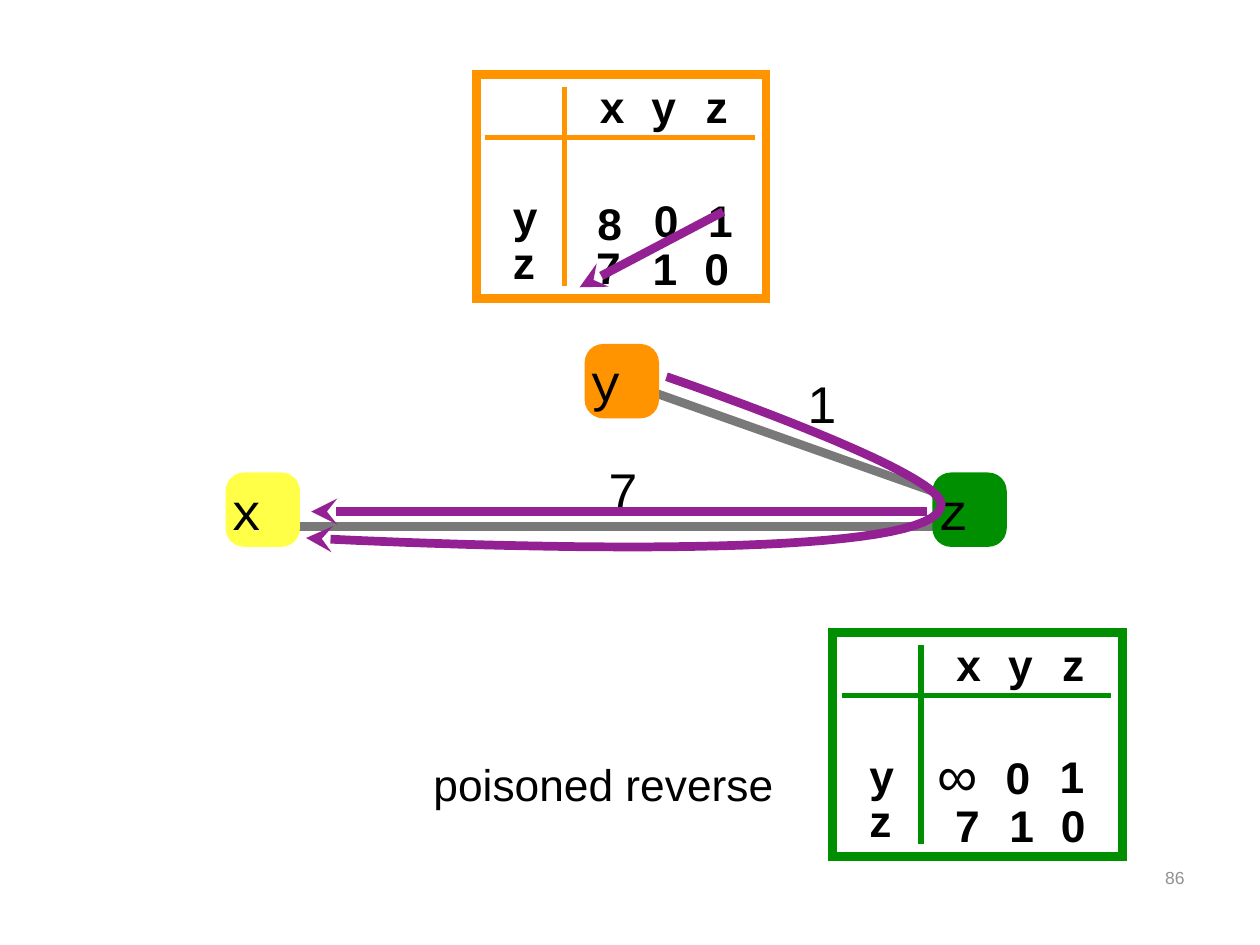
from dataclasses import dataclass

import pptx
import pptx.dml.color
import pptx.enum.shapes
import pptx.enum.text
import pptx.oxml
import pptx.oxml.ns
import pptx.util

Inches = pptx.util.Inches
Color = pptx.dml.color.RGBColor
Shape = pptx.enum.shapes.MSO_SHAPE
Align = pptx.enum.text.PP_ALIGN
Anchor = pptx.enum.text.MSO_ANCHOR

BLACK = Color(0x00, 0x00, 0x00)
GREY = Color(0x79, 0x79, 0x79)
PALE = Color(0x91, 0x91, 0x91)
YELLOW = Color(0xFF, 0xFF, 0x47)
GREEN = Color(0x00, 0x8F, 0x00)
ORANGE = Color(0xFF, 0x93, 0x00)
PURPLE = Color(0x94, 0x21, 0x93)

Point = tuple[float, float]


@dataclass
class Node:
    """A router in the network."""
    name: str
    left: float
    top: float
    fill: Color


@dataclass
class Cell:
    """A cost, placed relative to its table frame."""
    text: str
    left: float
    top: float
    width: float = 0.19
    height: float = 0.51
    size: float = 25.3
    bold: bool = True


@dataclass
class Table:
    """The distance table of one router."""
    left: float
    top: float
    color: Color
    cells: list[Cell]


NODES = [
    Node("x", 1.79, 3.75, YELLOW),
    Node("z", 7.4, 3.75, GREEN),
    Node("y", 4.64, 2.73, ORANGE),
]
HEADS = [
    Cell("x", 0.94, 0.02, 0.29, 0.46),
    Cell("y", 1.35, 0.02, 0.29, 0.46),
    Cell("z", 1.78, 0.02, 0.29, 0.46),
    Cell("y", 0.25, 0.87, 0.26),
    Cell("z", 0.25, 1.23, 0.26),
]
TABLES = [
    Table(3.78, 0.59, ORANGE, [
        Cell("8", 0.92, 0.92), Cell("0", 1.37, 0.9), Cell("1", 1.8, 0.9, 0.15),
        Cell("7", 0.91, 1.27), Cell("1", 1.36, 1.28), Cell("0", 1.77, 1.28, 0.23),
    ]),
    Table(6.61, 5.02, GREEN, [
        Cell("∞", 0.79, 0.86, 0.48, 0.53, 32.3, False),
        Cell("0", 1.33, 0.89), Cell("1", 1.76, 0.88, 0.15),
        Cell("7", 0.93, 1.27), Cell("1", 1.36, 1.27), Cell("0", 1.77, 1.27, 0.21),
    ]),
]
LABELS = [
    Cell("7", 4.79, 3.6, 0.29, 0.58, 29.5, False),
    Cell("1", 6.37, 2.91, 0.29, 0.58, 29.5, False),
    Cell("poisoned reverse", 3.4, 5.97, 2.92, 0.5, 25.3, False),
]
ROUTE = [
    ((5.29, 2.99), (5.29, 2.99), (7.46, 3.73), (7.47, 4.0)),
    ((7.47, 4.0), (7.5, 4.55), (2.43, 4.27), (2.43, 4.27)),
]
STEPS = 40

deck = pptx.Presentation()
deck.slide_width, deck.slide_height = Inches(10), Inches(7.5)
slide = deck.slides.add_slide(deck.slide_layouts[6])
shapes = slide.shapes


def make_tag(tag: str):
    """Build an element of the drawing namespace."""
    return pptx.oxml.parse_xml(f'<a:{tag} {pptx.oxml.ns.nsdecls("a")}/>')


def set_text(shape, text: str, size: float, font: str = "Arial",
             color: Color = BLACK, bold: bool = False, align=Align.LEFT) -> None:
    """Write one styled line of text."""
    frame = shape.text_frame
    frame.word_wrap = True
    frame.text = text
    para = frame.paragraphs[0]
    para.alignment = align
    style = para.runs[0].font
    style.name, style.size, style.bold = font, pptx.util.Pt(size), bold
    style.color.rgb = color


def set_pad(shape, pad: float) -> None:
    """Centre the text upright, with equal margins."""
    frame = shape.text_frame
    frame.vertical_anchor = Anchor.MIDDLE
    frame.margin_left = frame.margin_right = Inches(pad)
    frame.margin_top = frame.margin_bottom = Inches(pad)


def set_line(shape, color: Color, width: float, tip: str = "") -> None:
    """Style a sharp stroke; tip is headEnd, tailEnd or empty."""
    shape.line.color.rgb = color
    shape.line.width = pptx.util.Pt(width)
    stroke = shape.line._get_or_add_ln()
    stroke.append(make_tag("miter"))
    if tip:
        end = make_tag(tip)
        end.set("type", "stealth")
        stroke.append(end)


def add_line(start: Point, end: Point, color: Color, width: float,
             tip: str = "") -> None:
    """Draw a straight line without shadow."""
    line = shapes.add_connector(pptx.enum.shapes.MSO_CONNECTOR.STRAIGHT,
                                *map(Inches, start + end))
    set_line(line, color, width, tip)
    line._element.spPr.append(make_tag("effectLst"))


def add_cell(cell: Cell, left: float = 0, top: float = 0) -> None:
    """Draw a text cell, shifted by left and top."""
    box = shapes.add_textbox(Inches(left + cell.left), Inches(top + cell.top),
                             Inches(cell.width), Inches(cell.height))
    set_text(box, cell.text, cell.size, bold=cell.bold)
    set_pad(box, 0.04)


def add_node(node: Node) -> None:
    """Draw a router as a rounded square."""
    box = shapes.add_shape(Shape.ROUNDED_RECTANGLE, Inches(node.left),
                           Inches(node.top), Inches(0.59), Inches(0.59))
    box.adjustments[0] = 0.25
    box.shadow.inherit = False
    box.fill.solid()
    box.fill.fore_color.rgb = node.fill
    box.line.fill.background()
    set_text(box, node.name, 29.5, "Courier New")
    set_pad(box, 0)


def add_table(table: Table) -> None:
    """Draw a framed distance table with its two rules."""
    left, top = table.left, table.top
    frame = shapes.add_shape(Shape.RECTANGLE, Inches(left), Inches(top),
                             Inches(2.3), Inches(1.78))
    frame.shadow.inherit = False
    frame.fill.background()
    set_line(frame, table.color, 5)
    add_line((left + 0.07, top + 0.5), (left + 2.21, top + 0.5), table.color, 3)
    add_line((left + 0.7, top + 1.68), (left + 0.7, top + 0.1), table.color, 3)
    for cell in HEADS + table.cells:
        add_cell(cell, left, top)


def get_point(curve: tuple[Point, ...], t: float) -> tuple[int, int]:
    """Return the point at t on a cubic curve, as lengths."""
    parts = ((1 - t) ** 3, 3 * t * (1 - t) ** 2, 3 * t * t * (1 - t), t ** 3)
    return (Inches(sum(p * x for p, (x, _) in zip(parts, curve))),
            Inches(sum(p * y for p, (_, y) in zip(parts, curve))))


def add_route() -> None:
    """Draw the curved route from y through z to x."""
    dots = [get_point(curve, i / STEPS)
            for curve in ROUTE for i in range(1, STEPS + 1)]
    pen = shapes.build_freeform(*get_point(ROUTE[0], 0))
    pen.add_line_segments(dots, close=False)
    route = pen.convert_to_shape()
    route.shadow.inherit = False
    route.fill.background()
    set_line(route, PURPLE, 5, "tailEnd")


add_line((2.3, 4.18), (7.63, 4.18), GREY, 5)
add_line((5.09, 3.08), (7.63, 3.98), GREY, 5)
page = shapes.add_textbox(Inches(7.17), Inches(6.83), Inches(2.33), Inches(0.5))
set_text(page, "86", 10, color=PALE, align=Align.RIGHT)
for node in NODES:
    add_node(node)
for label in LABELS:
    add_cell(label)
for table in TABLES:
    add_table(table)
add_line((7.36, 4.06), (2.47, 4.06), PURPLE, 5, "tailEnd")
add_line((4.6, 2.28), (5.74, 1.68), PURPLE, 5, "headEnd")
add_route()
deck.save("out.pptx")
